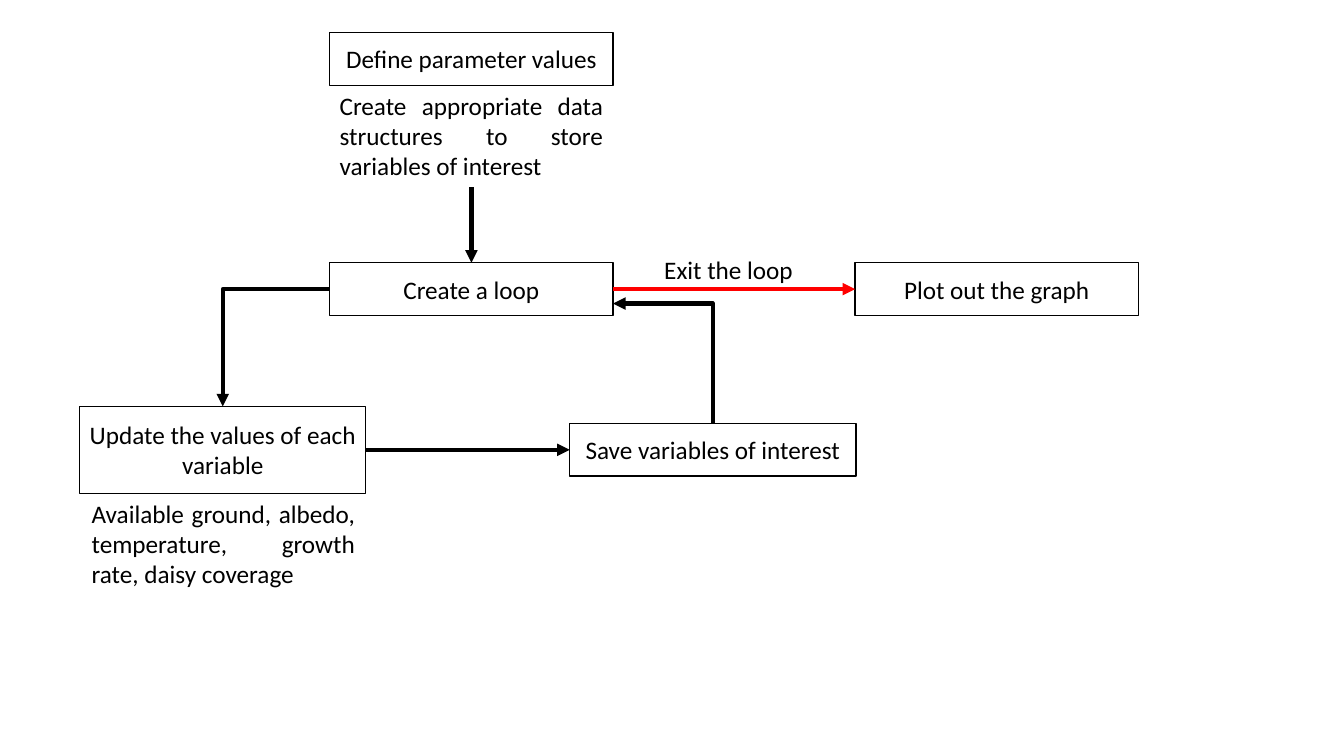
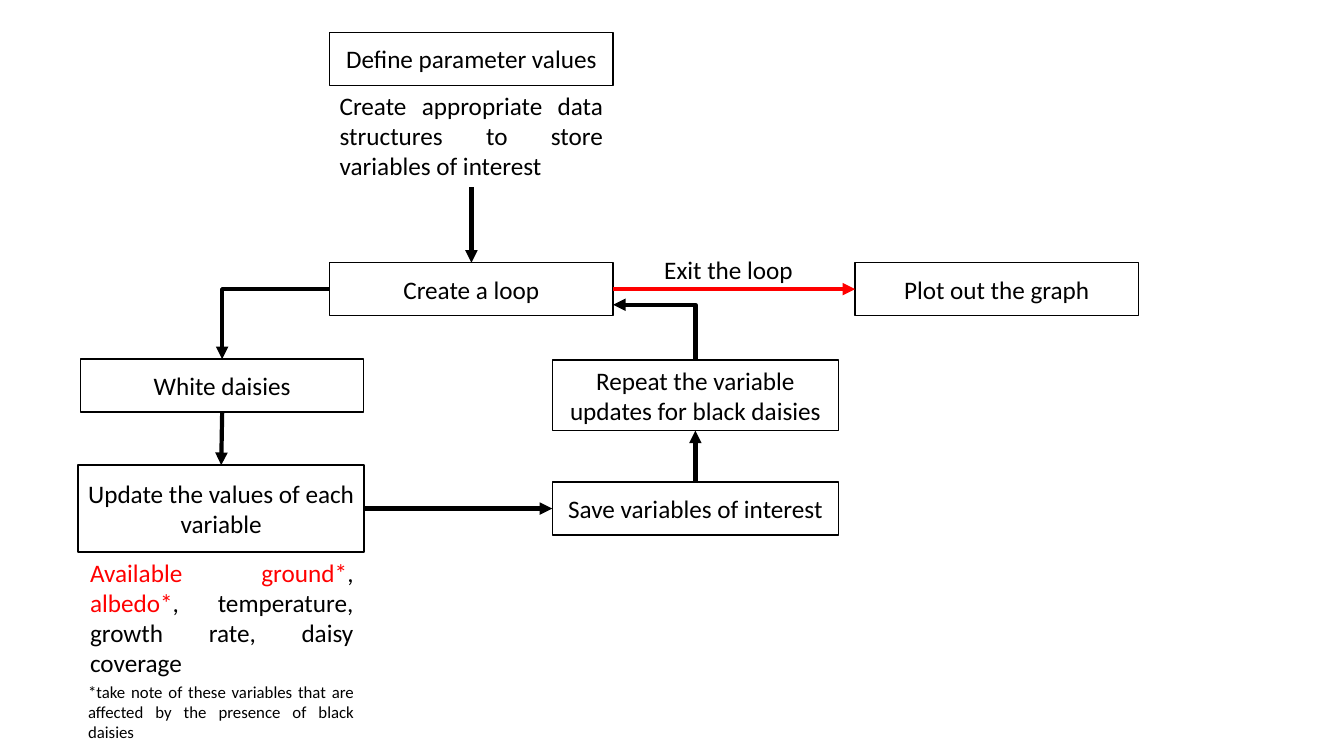
from lxml import etree
from pptx import Presentation
from pptx.dml.color import RGBColor
from pptx.enum.shapes import MSO_CONNECTOR, MSO_SHAPE
from pptx.enum.text import MSO_ANCHOR, MSO_AUTO_SIZE, PP_ALIGN
from pptx.oxml.ns import qn
from pptx.util import Cm, Pt

STRAIGHT, ELBOW = MSO_CONNECTOR.STRAIGHT, MSO_CONNECTOR.ELBOW
RECTANGLE = MSO_SHAPE.RECTANGLE
MIDDLE = MSO_ANCHOR.MIDDLE
FIT_TEXT = MSO_AUTO_SIZE.SHAPE_TO_FIT_TEXT
LEFT, CENTER, JUSTIFY = PP_ALIGN.LEFT, PP_ALIGN.CENTER, PP_ALIGN.JUSTIFY

COLORS = {"ink": "000000", "accent": "FF0000"}
FONT = "Calibri"
BLANK_LAYOUT = 6

# Connection sites of a rectangle
TOP_SIDE, LEFT_SIDE, BOTTOM_SIDE, RIGHT_SIDE = range(4)

# Shared measures in centimetres
NARROW, WIDE = 7.14, 7.21
STEP_HEIGHT, UPDATE_HEIGHT = 1.33, 2.19
LOOP_LEFT, LOOP_TOP = 8.31, 6.62
LOOP_RIGHT = LOOP_LEFT + NARROW


def color(key):
    return RGBColor.from_string(COLORS[key])


def write(shape, parts, size, align):
    """Write one paragraph from (text, colour key) parts."""
    paragraph = shape.text_frame.paragraphs[0]
    paragraph.alignment = align
    for text, key in parts:
        run = paragraph.add_run()
        run.text = text
        run.font.name = FONT
        run.font.size = Pt(size)
        run.font.color.rgb = color(key)


def add_step(shapes, text, left, top, width=NARROW, height=STEP_HEIGHT):
    """Outlined box for one step of the flow."""
    step = shapes.add_shape(RECTANGLE, Cm(left), Cm(top), Cm(width), Cm(height))
    step.shadow.inherit = False
    step.fill.background()
    step.line.color.rgb = color("ink")
    step.line.width = Pt(1)
    step.text_frame.word_wrap = True
    step.text_frame.vertical_anchor = MIDDLE
    write(step, [(text, "ink")], 18, CENTER)
    return step


def add_note(shapes, parts, left, top, width, height, size=18,
             align=JUSTIFY, wrap=True):
    """Plain text beside a step or an arrow."""
    note = shapes.add_textbox(Cm(left), Cm(top), Cm(width), Cm(height))
    note.text_frame.word_wrap = wrap
    note.text_frame.auto_size = FIT_TEXT
    write(note, parts, size, align)
    return note


def style_arrow(arrow, key="ink", arrowhead="a:tailEnd"):
    arrow.line.color.rgb = color(key)
    arrow.line.width = Pt(3)
    properties = arrow._element.spPr
    outline = properties.find(qn("a:ln"))
    etree.SubElement(outline, qn(arrowhead)).set("type", "triangle")
    etree.SubElement(properties, qn("a:effectLst"))


def make_single_bend(arrow):
    arrow._element.spPr.find(qn("a:prstGeom")).set("prst", "bentConnector2")


def add_arrow(shapes, source, source_side, target, target_side,
              kind=STRAIGHT, key="ink"):
    """Arrow glued to two steps; an elbow turns once."""
    arrow = shapes.add_connector(kind, 0, 0, 0, 0)
    arrow.begin_connect(source, source_side)
    arrow.end_connect(target, target_side)
    if kind == ELBOW:
        make_single_bend(arrow)
    style_arrow(arrow, key)


def add_return_arrow(shapes, source, entry_top):
    """Arrow from the top of a step back into the loop's right edge."""
    arrow = shapes.add_connector(ELBOW, Cm(LOOP_RIGHT), Cm(entry_top),
                                 source.left + source.width // 2, source.top)
    arrow.end_connect(source, TOP_SIDE)
    make_single_bend(arrow)
    style_arrow(arrow, arrowhead="a:headEnd")


def add_loop_frame(shapes):
    """Setup, loop and exit, the same on both slides."""
    setup = shapes.add_group_shape().shapes
    add_step(setup, "Define parameter values", LOOP_LEFT, 0.82)
    structures = add_note(
        setup,
        [("Create appropriate data structures to store variables of interest", "ink")],
        LOOP_LEFT, 2.15, NARROW, 2.57)
    loop = add_step(shapes, "Create a loop", LOOP_LEFT, LOOP_TOP)
    graph = add_step(shapes, "Plot out the graph", 21.55, LOOP_TOP)
    add_arrow(shapes, structures, BOTTOM_SIDE, loop, TOP_SIDE)
    add_arrow(shapes, loop, RIGHT_SIDE, graph, LEFT_SIDE, key="accent")
    add_note(shapes, [("Exit the loop", "ink")], 16.49, 6.29, 3.79, 1.02,
             align=LEFT, wrap=False)
    return loop


def add_update_and_save(shapes, update_left, update_top, save_left,
                        variables, variables_height):
    """Update step with its variables, leading to the save step."""
    update = add_step(shapes, "Update the values of each variable",
                      update_left, update_top, WIDE, UPDATE_HEIGHT)
    save_top = update_top + (UPDATE_HEIGHT - STEP_HEIGHT) / 2
    save = add_step(shapes, "Save variables of interest", save_left, save_top, WIDE)
    add_arrow(shapes, update, RIGHT_SIDE, save, LEFT_SIDE)
    add_note(shapes, variables, update_left + 0.05, update_top + UPDATE_HEIGHT,
             NARROW, variables_height)
    return update, save


def build_single_loop(shapes):
    loop = add_loop_frame(shapes)
    variables = [("Available ground, albedo, temperature, growth rate, daisy coverage", "ink")]
    update, save = add_update_and_save(shapes, 2.01, 10.24, 14.36, variables, 2.57)
    add_arrow(shapes, loop, LEFT_SIDE, update, TOP_SIDE, ELBOW)
    add_return_arrow(shapes, save, 7.65)


def build_two_daisies_loop(shapes):
    loop = add_loop_frame(shapes)
    variables = [("Available ground*", "accent"), (", ", "ink"),
                 ("albedo*", "accent"),
                 (", temperature, growth rate, daisy coverage", "ink")]
    update, save = add_update_and_save(shapes, 1.97, 11.72, 13.92, variables, 3.33)

    # Daisy steps before the update and after the save
    white = add_step(shapes, "White daisies", 2.03, 9.05)
    black = add_step(shapes, "Repeat the variable updates for black daisies",
                     13.92, 9.07, WIDE, 1.78)
    add_arrow(shapes, loop, LEFT_SIDE, white, TOP_SIDE, ELBOW)
    add_arrow(shapes, white, BOTTOM_SIDE, update, TOP_SIDE)
    add_arrow(shapes, save, TOP_SIDE, black, BOTTOM_SIDE)
    add_return_arrow(shapes, black, 7.68)

    # Footnote
    add_note(shapes,
             [("*take note of these variables that are affected by the presence "
               "of black daisies", "ink")],
             1.97, 17.05, WIDE, 1.79, size=12)


def main():
    deck = Presentation()
    deck.slide_width, deck.slide_height = Cm(33.87), Cm(19.05)
    for build in (build_single_loop, build_two_daisies_loop):
        slide = deck.slides.add_slide(deck.slide_layouts[BLANK_LAYOUT])
        build(slide.shapes)
    deck.save("out.pptx")


main()
